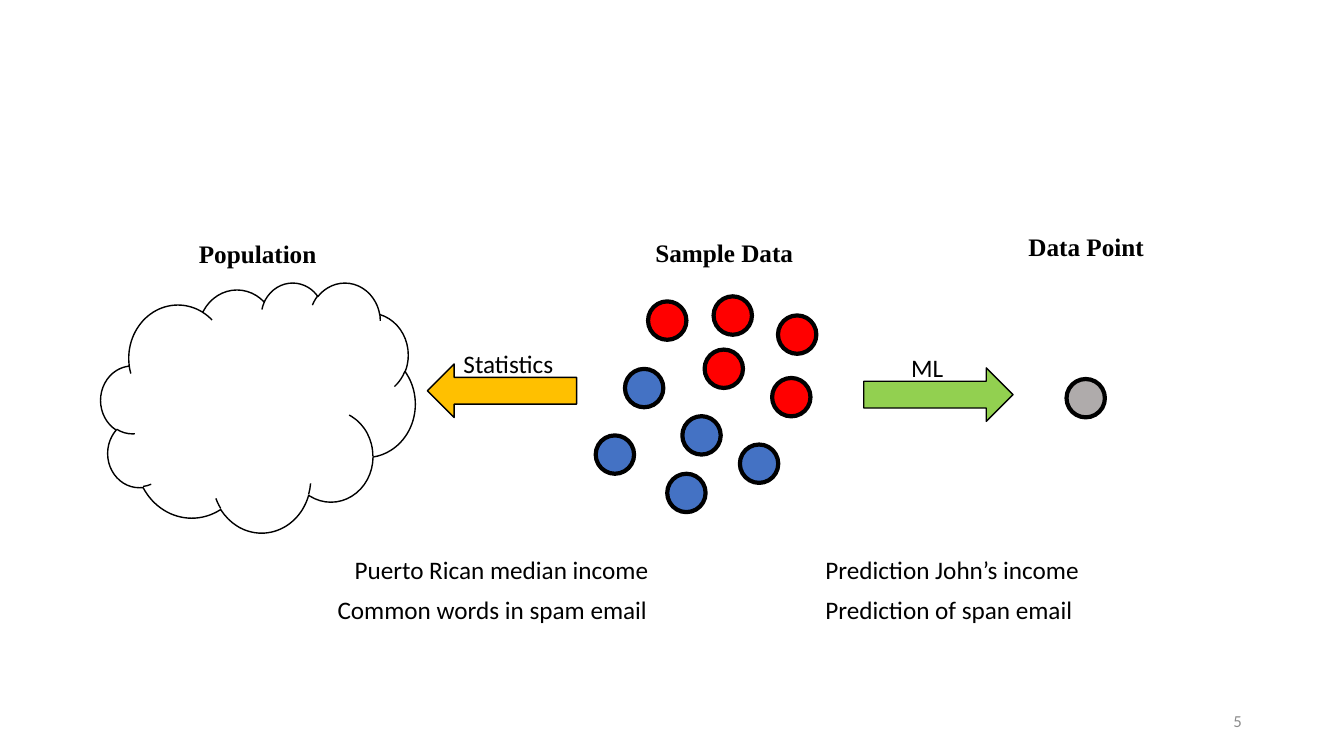
from pptx import Presentation
from pptx.dml.color import RGBColor
from pptx.enum.shapes import MSO_SHAPE as SHAPE
from pptx.enum.text import MSO_ANCHOR as ANCHOR, PP_ALIGN as ALIGN
from pptx.util import Pt

BLACK, WHITE, RED, BLUE = "000000", "FFFFFF", "FF0000", "4472C4"
GRAY, MUTED, AMBER, GREEN = "AFABAB", "8C8C8C", "FFC000", "92D050"
SERIF, SANS = "Times New Roman", "Calibri"
DOT, LINE_H, HEAD_W = 27.4, 29, 205.2
RED_DOTS = [(141, 59), (88.6, 83.4), (136.8, 103.7), (48.2, 49), (95, 45.4)]
BLUE_DOTS = [(72.7, 131), (113.8, 151.2), (61.9, 172.1), (31.7, 97.2), (10.8, 144.7)]


def rgb(color):
    """Turn a hex string into a colour."""
    return RGBColor.from_string(color)


def add_shape(slide, kind, x, y, w, h, fill, weight=1):
    """Add a filled preset shape with a black outline."""
    sp = slide.shapes.add_shape(kind, Pt(x), Pt(y), Pt(w), Pt(h))
    sp.shadow.inherit = False
    sp.fill.solid()
    sp.fill.fore_color.rgb = rgb(fill)
    sp.line.color.rgb = rgb(BLACK)
    sp.line.width = Pt(weight)
    return sp


def add_text(slide, text, x, y, w, size=18, font=SANS, color=BLACK,
             bold=False, align=ALIGN.LEFT, anchor=ANCHOR.TOP):
    """Add a one-line text box."""
    tf = slide.shapes.add_textbox(Pt(x), Pt(y), Pt(w), Pt(LINE_H)).text_frame
    tf.word_wrap = True
    tf.vertical_anchor = anchor
    p = tf.paragraphs[0]
    p.text = text
    p.alignment = align
    f = p.runs[0].font
    f.size, f.name, f.bold = Pt(size), font, bold
    f.color.rgb = rgb(color)


def add_heading(slide, text, x, y):
    """Add the centred heading of a column."""
    add_text(slide, text, x, y, HEAD_W, font=SERIF, bold=True, align=ALIGN.CENTER)


def add_dot(slide, x, y, fill):
    """Add one data point."""
    add_shape(slide, SHAPE.OVAL, x, y, DOT, DOT, fill, 3)


def population(slide, x, y):
    """Draw the population heading and its cloud."""
    add_shape(slide, SHAPE.CLOUD, x - 9.4, y + 34.6, 224.6, 178.6, WHITE)
    add_heading(slide, "Population", x, y)


def sample_data(slide, x, y):
    """Draw the sample heading and its two groups of dots."""
    for fill, dots in ((RED, RED_DOTS), (BLUE, BLUE_DOTS)):
        for dx, dy in dots:
            add_dot(slide, x + dx, y + dy, fill)
    add_heading(slide, "Sample Data", x, y)


def data_point(slide, x, y):
    """Draw the single data point under its heading."""
    add_dot(slide, x + 88.6, y + 108.7, GRAY)
    add_heading(slide, "Data Point", x, y)


def labelled_arrow(slide, x, y, fill, label, dx, label_w, rotation=0):
    """Draw a block arrow with a label on its upper edge."""
    sp = add_shape(slide, SHAPE.RIGHT_ARROW, x, y, 106.6, 38.2, fill)
    sp.rotation = rotation
    add_text(slide, label, x + dx, y - 14.4, label_w)


def examples(slide, x, y, w, first, second, dx=0, dy=28.4):
    """Place two example lines, the second offset from the first."""
    add_text(slide, first, x, y, w)
    add_text(slide, second, x + dx, y + dy, w - dx)


def main():
    """Build the slide and save it."""
    prs = Presentation()
    prs.slide_width, prs.slide_height = Pt(960), Pt(540)
    s = prs.slides.add_slide(prs.slide_layouts[6])
    population(s, 81.4, 167)
    sample_data(s, 414.7, 166.3)
    data_point(s, 673.2, 162)
    labelled_arrow(s, 305.3, 260, AMBER, "Statistics", 18.7, 88.6, 180)
    labelled_arrow(s, 617, 262.8, GREEN, "ML", 26.7, 44.6)
    examples(s, 246.2, 392.4, 226, "Puerto Rican median income",
             "Common words in spam email", dx=-12.2, dy=28.8)
    examples(s, 582.5, 392.4, 198, "Prediction John’s income",
             "Prediction of span email")
    add_text(s, "5", 678.2, 500.4, 216, size=12, color=MUTED,
             align=ALIGN.RIGHT, anchor=ANCHOR.MIDDLE)
    prs.save("out.pptx")


if __name__ == "__main__":
    main()
